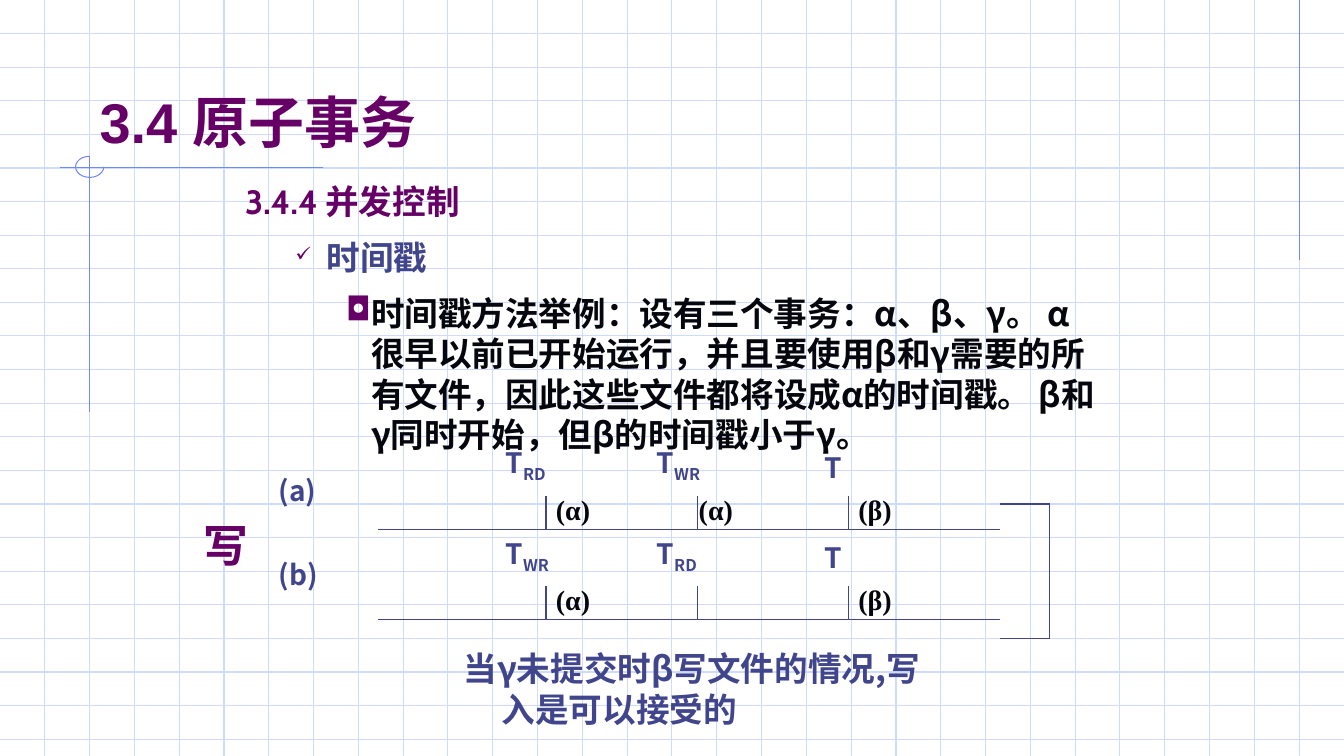
from lxml.etree import SubElement
from pptx import Presentation
from pptx.dml.color import RGBColor as RGB
from pptx.enum.shapes import MSO_CONNECTOR as LINE, MSO_SHAPE as SHAPE
from pptx.enum.text import MSO_ANCHOR as ANCHOR
from pptx.oxml.ns import qn
from pptx.util import Inches, Pt

PURPLE = RGB(0x66, 0x00, 0x66)
INDIGO = RGB(0x40, 0x45, 0x8C)
INK = RGB(0x06, 0x07, 0x0E)
GRID = RGB(0xCF, 0xDB, 0xFD)
ACCENT = RGB(0x6F, 0x89, 0xF7)
CJK, CABIN, ARIAL, TIMES = "Noto Sans CJK SC", "Cabin", "Arial", "Times New Roman"
COLUMNS, ROWS = 160, 90


class Sheet:
    """Draws styled elements on one slide, placed on a 160 by 90 grid."""

    def __init__(self, deck):
        self.slide = deck.slides.add_slide(deck.slide_layouts[6])
        self.shapes = self.slide.shapes
        self.column = deck.slide_width / COLUMNS
        self.row = deck.slide_height / ROWS

    def place(self, x, y, width, height):
        return (round(x * self.column), round(y * self.row),
                round(width * self.column), round(height * self.row))

    def line(self, x1, y1, x2, y2, color=INDIGO):
        stroke = self.shapes.add_connector(LINE.STRAIGHT, *self.place(x1, y1, x2, y2))
        stroke.line.color.rgb = color
        stroke.line.width = Pt(0.75)
        SubElement(stroke._element.spPr, qn("a:effectLst"))

    def arc(self, x, y, width, height, start, end, color):
        curve = self.shapes.add_shape(SHAPE.ARC, *self.place(x, y, width, height))
        curve.adjustments[0], curve.adjustments[1] = start, end
        curve.shadow.inherit = False
        curve.fill.background()
        curve.line.color.rgb = color
        curve.line.width = Pt(0.75)

    def frame(self, x, y, width, height, anchor=ANCHOR.TOP):
        frame = self.shapes.add_textbox(*self.place(x, y, width, height)).text_frame
        frame.word_wrap = True
        frame.vertical_anchor = anchor
        return frame

    def run(self, paragraph, words, size, color, font=CJK):
        run = paragraph.add_run()
        run.text = words
        run.font.size, run.font.bold = Pt(size), True
        run.font.name, run.font.color.rgb = font, color
        SubElement(run._r.rPr, qn("a:ea")).set("typeface", CJK)
        paragraph.line_spacing = Pt(size * 1.2)
        return run

    def indent(self, paragraph, left, hanging):
        paragraph._p.get_or_add_pPr().set("marL", str(Inches(left)))
        paragraph._p.pPr.set("indent", str(-Inches(hanging)))

    def bullet(self, paragraph, mark, percent):
        properties = paragraph._p.get_or_add_pPr()
        tint = SubElement(SubElement(properties, qn("a:buClr")), qn("a:srgbClr"))
        tint.set("val", str(PURPLE))
        SubElement(properties, qn("a:buSzPct")).set("val", str(percent * 1000))
        SubElement(properties, qn("a:buChar")).set("char", mark)

    def label(self, x, y, width, height, words, size=20, color=INDIGO, font=CJK, sub=""):
        paragraph = self.frame(x, y, width, height).paragraphs[0]
        self.indent(paragraph, 0.38, 0.38)
        self.run(paragraph, words, size, color, font)
        if sub:
            subscript = self.run(paragraph, sub, size, color, font)
            subscript._r.rPr.set("baseline", "-25000")

    def timeline(self, y, stamps):
        self.line(45, y, 119, y)
        for tick, (stamp_x, sub, owner_x, owner) in zip((65, 83, 101), stamps):
            self.line(tick, y - 4, tick, y)
            self.label(stamp_x, y - 10, 16, 5.8, "T", sub=sub)
            if owner:
                self.label(owner_x, y - 5, 12, 5.3, owner, color=INK, font=TIMES)


def draw_background(sheet):
    for row in range(4, ROWS, 4):
        sheet.line(0, row, COLUMNS, row, GRID)
    for index in range(1, 30):
        column = index * COLUMNS / 30
        sheet.line(column, 0, column, ROWS, GRID)
    sheet.line(154.67, 0, 154.67, 31, ACCENT)
    sheet.line(38.5, 19.9, 7.2, 19.9, ACCENT)
    sheet.line(10.67, 18.6, 10.67, 49.1, ACCENT)
    sheet.arc(9, 18.6, 3.36, 2.52, 0, 162, ACCENT)


def draw_text(sheet):
    title = sheet.frame(10.67, 4, 136, 15, ANCHOR.BOTTOM).paragraphs[0]
    sheet.run(title, "3.4 ", 40, PURPLE, ARIAL)
    sheet.run(title, "原子事务", 40, PURPLE)

    body = sheet.frame(28, 21, 105, 64.7)
    section = body.paragraphs[0]
    sheet.indent(section, 0.38, 0.38)
    sheet.run(section, "3.4.4 并发控制", 24, PURPLE, CABIN)

    topic = body.add_paragraph()
    sheet.indent(topic, 0.81, 0.31)
    sheet.run(topic, "时间戳", 24, INDIGO, CABIN)
    topic.space_before = Pt(11)
    sheet.bullet(topic, "✓", 60)

    example = body.add_paragraph()
    sheet.indent(example, 1.25, 0.25)
    sheet.run(example, "时间戳方法举例：", 24, INK, CABIN)
    sheet.run(example, "设有三个事务：α、β、γ。 α 很早以前已开始运行，并且要使用β和γ需要的所有文件，"
              "因此这些文件都将设成α的时间戳。 β和γ同时开始，但β的时间戳小于γ。", 24, INK)
    example.space_before = Pt(11)
    sheet.bullet(example, "◘", 95)


def draw_diagram(sheet):
    sheet.timeline(63, [(59, "RD", 65, "(α)"), (77, "WR", 82, "(α)"), (97, "", 101, "(β)")])
    sheet.timeline(73.8, [(59, "WR", 65, "(α)"), (77, "RD", 82, ""), (97, "", 101, "(β)")])
    for y in (60, 76):
        sheet.line(119, y, 125, y)
    sheet.line(125, 60, 125, 76)
    sheet.label(32, 55.8, 14, 5.3, "(a)")
    sheet.label(32, 65.8, 14, 5.3, "(b)")
    sheet.label(54, 76.6, 58.3, 10.8, "当γ未提交时β写文件的情况,写入是可以接受的", 24)
    sheet.label(23, 61, 7, 7.7, "写", 32, PURPLE)


def main():
    deck = Presentation()
    deck.slide_width, deck.slide_height = Inches(13.34), Inches(7.5)
    sheet = Sheet(deck)
    draw_background(sheet)
    draw_text(sheet)
    draw_diagram(sheet)
    deck.save("out.pptx")


if __name__ == "__main__":
    main()
